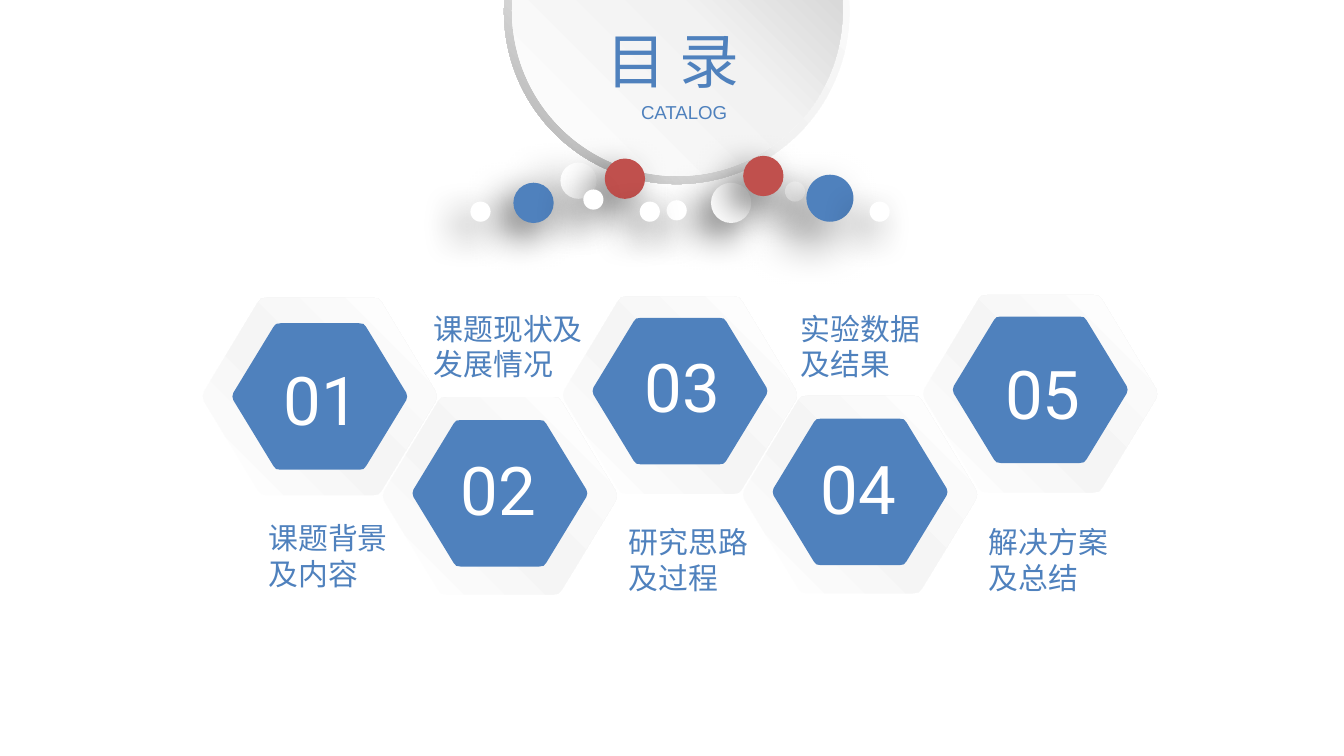
from lxml import etree
from pptx import Presentation
from pptx.dml.color import RGBColor
from pptx.enum import shapes as kinds, text as txt
from pptx.oxml import parse_xml
from pptx.oxml.ns import nsdecls, qn
from pptx.util import Inches, Pt

WHITE = RGBColor(0xFF, 0xFF, 0xFF)
PALE = RGBColor(0xF5, 0xF5, 0xF5)
LIGHT = RGBColor(0xF2, 0xF2, 0xF2)
SILVER = RGBColor(0xBF, 0xBF, 0xBF)
GRAY = RGBColor(0xA6, 0xA6, 0xA6)
BLUE = RGBColor(0x4F, 0x81, 0xBD)
RED = RGBColor(0xC0, 0x50, 0x4D)


def paint(shape, fill, angle=0):
    """Fill with one colour, or with a gradient given as (percent, colour) stops."""
    shape.shadow.inherit = False
    shape.line.fill.background()
    shape.fill.solid()
    if isinstance(fill, RGBColor):
        shape.fill.fore_color.rgb = fill
        return
    stops = "".join(f'<a:gs pos="{pos * 1000}"><a:srgbClr val="{color}"/></a:gs>'
                    for pos, color in fill)
    grad = parse_xml(f'<a:gradFill {nsdecls("a")} rotWithShape="1"><a:gsLst>{stops}</a:gsLst>'
                     f'<a:lin ang="{angle * 60000}" scaled="0"/></a:gradFill>')
    props = shape._element.spPr
    props.replace(props.find(qn("a:solidFill")), grad)


def write(box, words, size, font, color):
    frame = box.text_frame
    frame.word_wrap = True
    frame.auto_size = txt.MSO_AUTO_SIZE.NONE
    frame.vertical_anchor = txt.MSO_ANCHOR.TOP
    frame.text = words
    part = frame.paragraphs[0]
    part.alignment = txt.PP_ALIGN.LEFT
    style = part.runs[0].font
    style.size, style.name, style.color.rgb = Pt(size), font, color


deck = Presentation()
deck.slide_width = Inches(10)
deck.slide_height = deck.slide_width * 9 // 16
slide = deck.slides.add_slide(deck.slide_layouts[5])
items = slide.shapes
title = items.title

# Large disc with its rim
disc = items.add_group_shape()
rim = disc.shapes.add_shape(kinds.MSO_SHAPE.DONUT, Inches(3.75), Inches(-1.2),
                            Inches(2.57), Inches(2.57))
rim.adjustments[0] = 0.05
paint(rim, [(0, WHITE), (55, LIGHT), (100, GRAY)], 135)
face = disc.shapes.add_shape(kinds.MSO_SHAPE.OVAL, Inches(3.81), Inches(-1.15),
                             Inches(2.46), Inches(2.46))
paint(face, [(0, WHITE), (51, LIGHT), (100, SILVER)], 315)

# Dots: left, top, diameter, colour, shadow (opacity, blur, distance)
NEAR, FAR = (60, 20, 10), (50, 25, 15)
dots = [
    (5.29, 1.36, 0.3, WHITE, NEAR), (4.96, 1.49, 0.15, WHITE, NEAR),
    (5.84, 1.35, 0.15, WHITE, NEAR), (4.17, 1.21, 0.27, WHITE, FAR),
    (4.5, 1.18, 0.3, RED, NEAR), (4.76, 1.5, 0.15, WHITE, NEAR),
    (6, 1.3, 0.35, BLUE, FAR), (3.82, 1.36, 0.3, BLUE, NEAR),
    (3.5, 1.5, 0.15, WHITE, NEAR), (5.53, 1.16, 0.3, RED, NEAR),
    (4.34, 1.41, 0.15, WHITE, NEAR), (6.47, 1.5, 0.15, WHITE, NEAR),
]
for left, top, size, color, (alpha, blur, dist) in dots:
    dot = items.add_shape(kinds.MSO_SHAPE.OVAL, Inches(left), Inches(top),
                          Inches(size), Inches(size))
    paint(dot, color)
    shade = etree.SubElement(dot._element.spPr.find(qn("a:effectLst")), qn("a:outerShdw"),
                             blurRad=str(Pt(blur)), dist=str(Pt(dist)),
                             dir=str(135 * 60000), algn="tr", rotWithShape="0")
    black = etree.SubElement(shade, qn("a:srgbClr"), val="000000")
    etree.SubElement(black, qn("a:alpha"), val=str(alpha * 1000))

# Heading
items._spTree.append(title._element)
title.left, title.top = Inches(4.41), Inches(0.13)
title.width, title.height = Inches(1.35), Inches(0.64)
write(title, "目 录", 32, "Noto Sans CJK SC", BLUE)
sub = items.add_textbox(Inches(4.34), Inches(0.62), Inches(1.5), Inches(0.42))
write(sub, "CATALOG", 10, "Arial", BLUE)
sub.text_frame.vertical_anchor = txt.MSO_ANCHOR.MIDDLE
sub.text_frame.paragraphs[0].alignment = txt.PP_ALIGN.CENTER

# Outline of a rounded hexagon in half widths and half heights, from one quarter
quarter = [(1, 0), (0.99, 0.05), (0.53, 0.95), (0.5, 0.99), (0.45, 1)]
half = quarter + [(-x, y) for x, y in reversed(quarter)]
outline = half + [(x, -y) for x, y in reversed(half)]
SHEEN = [(0, WHITE), (47, PALE), (100, WHITE)]

# Hexagons: number, frame middle, core middle, text left, text top, text width
cells = [
    (5, 2.93, 2.9, 7.38, 2.57, 0.92), (3, 2.94, 2.91, 4.7, 2.52, 0.85),
    (1, 2.95, 2.95, 2.01, 2.62, 0.88), (2, 3.69, 3.67, 3.33, 3.29, 0.86),
    (4, 3.68, 3.66, 6.01, 3.28, 0.97),
]
for num, mid, core, left, top, span in cells:
    cell = items.add_group_shape()
    axis = 2.38 + 1.34 * (num - 1)
    for wide, high, y, fill in [(1.75, 1.49, mid, WHITE), (1.74, 1.47, mid, SHEEN),
                                (1.3, 1.09, core, BLUE)]:
        pts = [(Inches(axis + px * wide / 2), Inches(y + py * high / 2)) for px, py in outline]
        pen = cell.shapes.build_freeform(*pts[0])
        pen.add_line_segments(pts[1:], close=True)
        paint(pen.convert_to_shape(), fill, 315)
    box = cell.shapes.add_textbox(Inches(left), Inches(top), Inches(span), Inches(0.71))
    write(box, f"{num:02}", 36, "Roboto", WHITE)

# Labels
labels = [
    ("课题背景及内容", 1.9, 3.82, 1.12), ("课题现状及发展情况", 3.13, 2.26, 1.33),
    ("研究思路及过程", 4.58, 3.85, 1.12), ("实验数据及结果", 5.86, 2.26, 1.12),
    ("解决方案及总结", 7.26, 3.85, 1.12),
]
for words, left, top, wide in labels:
    box = items.add_textbox(Inches(left), Inches(top), Inches(wide), Inches(0.64))
    write(box, words, 16, "Arial", BLUE)

deck.save("out.pptx")
